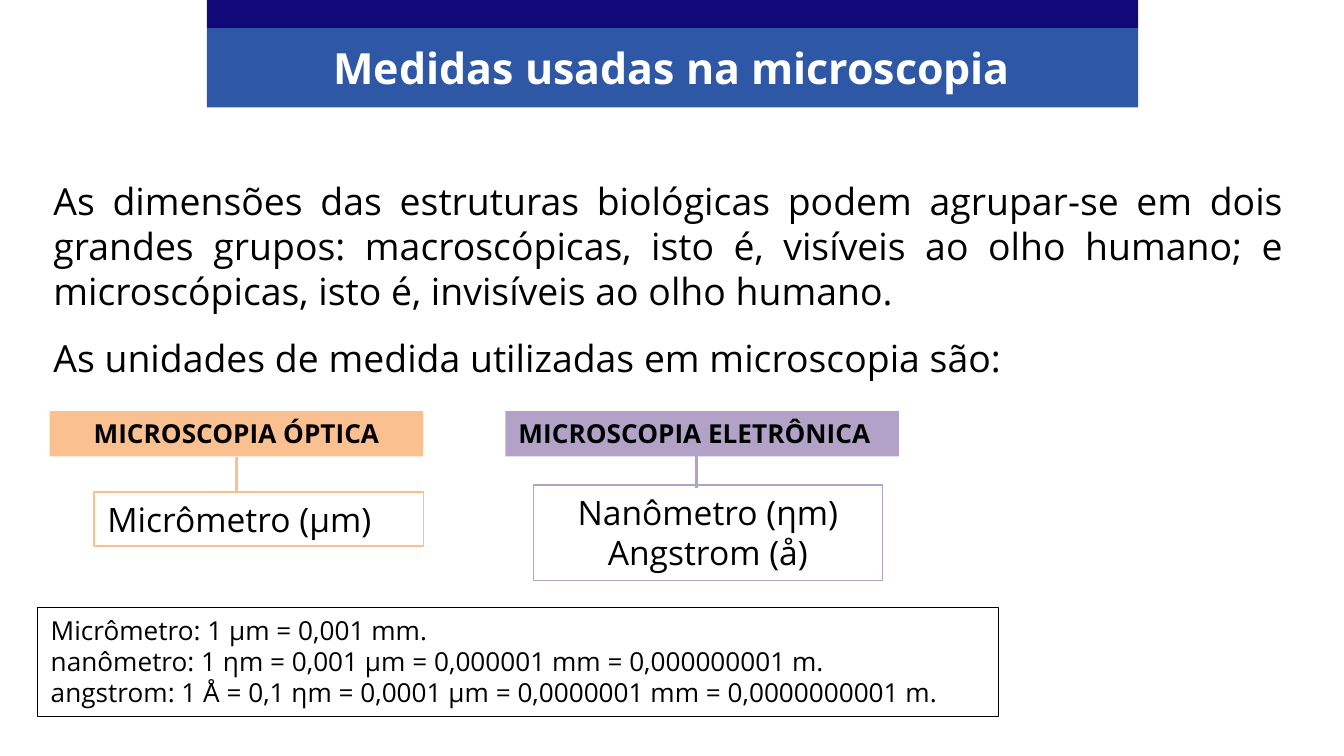
from pptx import Presentation
from pptx.dml.color import RGBColor
from pptx.enum.shapes import MSO_CONNECTOR, MSO_SHAPE
from pptx.enum.text import MSO_ANCHOR, PP_ALIGN
from pptx.oxml.ns import qn
from pptx.util import Cm, Pt
from lxml import etree

RECT = MSO_SHAPE.RECTANGLE
LINE = MSO_CONNECTOR.STRAIGHT
TOP = MSO_ANCHOR.TOP
LEFT, MID, JUST = PP_ALIGN.LEFT, PP_ALIGN.CENTER, PP_ALIGN.JUSTIFY

FONT = "Open Sans"
HUES = {
    "navy": "110979",
    "blue": "2E58A6",
    "peach": "FAC090",
    "lilac": "B3A2C7",
    "black": "000000",
    "white": "FFFFFF",
}


def hue(name):
    return RGBColor.from_string(HUES[name])


def write(shape, lines, size, align, color="black", bold=False, after=0):
    frame = shape.text_frame
    frame.word_wrap = True
    frame.vertical_anchor = TOP
    frame.text = "\n".join(lines)
    for par in frame.paragraphs:
        par.alignment = align
        par.space_after = Pt(after)
        font = par.font
        font.name, font.size, font.bold = FONT, Pt(size), bold
        font.color.rgb = hue(color)


def add_rect(slide, box, fill=None, edge=None):
    shape = slide.shapes.add_shape(RECT, *map(Cm, box))
    shape.shadow.inherit = False
    if fill:
        shape.fill.solid()
        shape.fill.fore_color.rgb = hue(fill)
    else:
        shape.fill.background()
    if edge:
        shape.line.color.rgb = hue(edge)
        shape.line.width = Pt(0.75)
    else:
        shape.line.fill.background()
    return shape


def add_text(slide, box, *args, **style):
    write(slide.shapes.add_textbox(*map(Cm, box)), *args, **style)


def add_stem(slide, x, top, end, color):
    stem = slide.shapes.add_connector(LINE, Cm(x), Cm(top), Cm(x), Cm(end))
    stem.line.color.rgb = hue(color)
    stem.line.width = Pt(1.75)
    etree.SubElement(stem._element.spPr, qn("a:effectLst"))


def add_title(slide, box, text):
    x, y, w, h = box
    strip = 0.53
    add_rect(slide, (x, y + strip, w, h - strip), "blue")
    add_rect(slide, (x, y, w, strip), "navy")
    add_text(slide, (x, y + 0.66, w, 1.24), [text], 23, MID, "white", bold=True)


def add_unit(slide, box, color, head, align, card, lines, flow, stem):
    x, y, w, h = box
    dx, dy, cw, ch = card
    sx, top, end = stem
    write(add_rect(slide, box, color), [head], 14, align, bold=True)
    cell = add_rect(slide, (x + dx, y + dy, cw, ch), edge=color)
    write(cell, lines, 18, flow)
    add_stem(slide, x + sx, y + top, y + end, color)


def add_notes(slide, box, lines):
    write(add_rect(slide, box, edge="black"), lines, 14, JUST)


def main():
    deck = Presentation()
    deck.slide_width, deck.slide_height = Cm(25.4), Cm(14.29)
    slide = deck.slides.add_slide(deck.slide_layouts[6])

    add_title(slide, (3.91, 0, 17.6, 2.03), "Medidas usadas na microscopia")
    add_text(slide, (0.76, 3.25, 23.75, 4.11), [
        "As dimensões das estruturas biológicas podem agrupar-se em dois "
        "grandes grupos: macroscópicas, isto é, visíveis ao olho humano; e "
        "microscópicas, isto é, invisíveis ao olho humano.",
        "As unidades de medida utilizadas em microscopia são:",
    ], 20, JUST, after=12)
    add_unit(slide, (0.94, 7.77, 7.06, 0.86), "peach",
             "MICROSCOPIA ÓPTICA", MID,
             (0.84, 1.53, 6.22, 1.02), ["Micrômetro (μm)"], JUST,
             (3.53, 0.86, 1.53))
    add_unit(slide, (9.55, 7.77, 7.44, 0.86), "lilac",
             "MICROSCOPIA ELETRÔNICA", LEFT,
             (0.53, 1.4, 6.6, 1.8), ["Nanômetro (ηm)", "Angstrom (å)"], MID,
             (3.61, 0.79, 1.45))
    add_notes(slide, (0.71, 11.48, 18.16, 2.06), [
        "Micrômetro: 1 μm = 0,001 mm.",
        "nanômetro: 1 ηm = 0,001 μm = 0,000001 mm = 0,000000001 m.",
        "angstrom: 1 Å = 0,1 ηm = 0,0001 μm = 0,0000001 mm = 0,0000000001 m.",
    ])
    deck.save("out.pptx")


if __name__ == "__main__":
    main()
